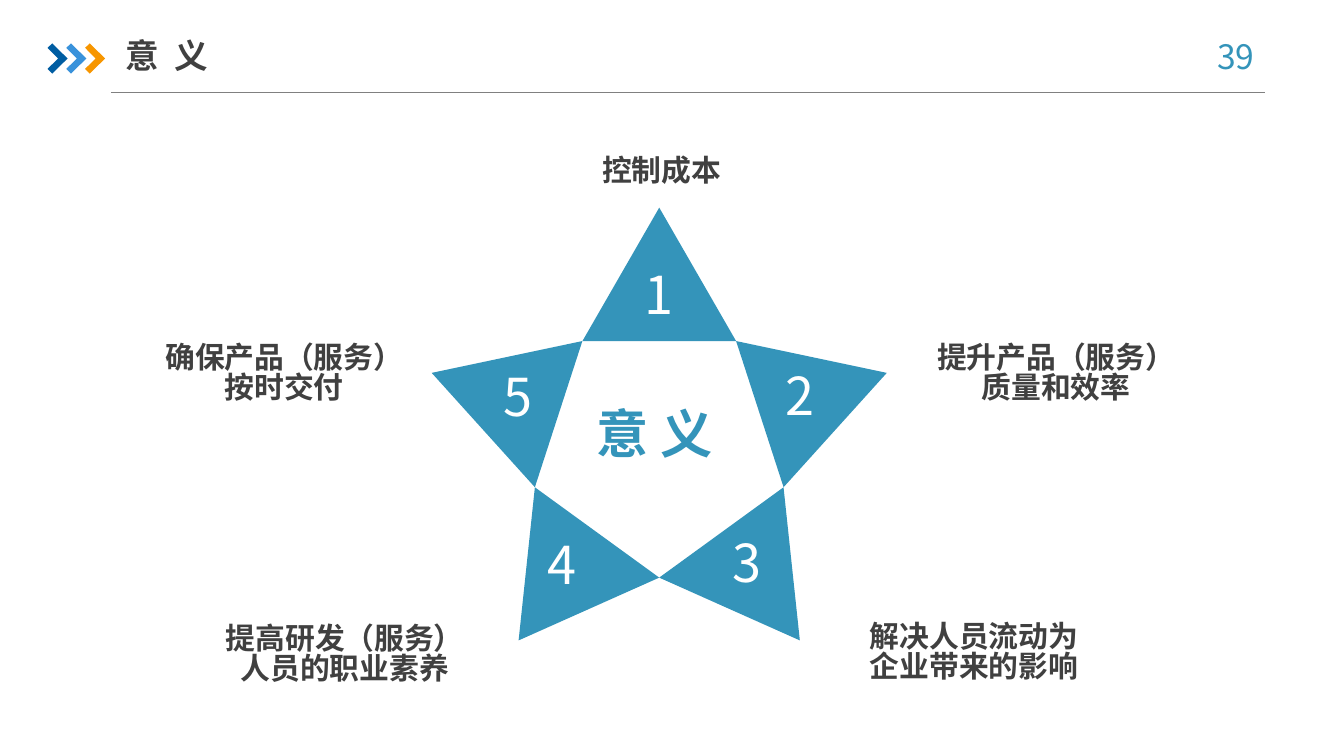
from math import cos, pi, sin

from pptx import Presentation
from pptx.dml.color import RGBColor as Color
from pptx.enum.shapes import MSO_CONNECTOR as Connector
from pptx.enum.text import MSO_ANCHOR as Anchor, PP_ALIGN as Align
from pptx.oxml.ns import qn
from pptx.util import Pt
from lxml.etree import SubElement

THEME = {
    "font": "Noto Sans CJK SC",
    "accent": "3494BA", "ink": "404040", "rule": "808080", "white": "FFFFFF",
    "chevrons": ["005DA2", "3992DB", "F79600"],
    "heading": 24, "numeral": 37.3, "label": 21.3,
    "line_spacing": 0.83, "top_shift": 0.07,
}

TITLE = ("意 义", (90, 21, 224, 39.5))
PAGE_NUMBER = ("39", (850, 25, 71, 36))
CENTRE_WORD = ("意 义", (415.5, 291.6, 104, 45))
LABELS = [
    (["控制成本"], (422, 111, 101, 26), Align.CENTER),
    (["提升产品（服务）", "质量和效率"], (608.4, 245, 292, 52), Align.CENTER),
    (["解决人员流动为企业带来的影响"], (621.4, 444.2, 157, 52), Align.LEFT),
    (["提高研发（服务）", "人员的职业素养"], (123.8, 445.7, 245, 52), Align.CENTER),
    (["确保产品（服务）", "按时交付"], (100, 245, 206, 52), Align.CENTER),
]
NUMERAL_CORNERS = [(452.2, 192.2), (553, 264.2), (514.8, 383.8), (383, 385.2), (351.4, 265)]
NUMERAL_SIZE = (37.5, 45)

STAR = {"x": 470.9, "y": 319.2, "outer": 170.9, "inner": 93.4, "points": 5}
CHEVRON = [(0, 3.2), (3.4, 0), (14.3, 10.8), (3.4, 21.6), (0, 18.2), (7.6, 10.8)]
CHEVRON_START, CHEVRON_STEP = (34, 31), 13.4
RULE = (79.2, 65.8, 903.6, 65.8)


def add_outline(page, points, fill):
    builder = page.shapes.build_freeform(*(Pt(v) for v in points[0]), scale=1.0)
    builder.add_line_segments([(Pt(x), Pt(y)) for x, y in points[1:]], close=True)
    shape = builder.convert_to_shape()
    shape.shadow.inherit = False
    shape.fill.solid()
    shape.fill.fore_color.rgb = Color.from_string(fill)
    shape.line.fill.background()


def add_text(page, lines, place, size, colour, bold=False, align=Align.CENTER,
             anchor=Anchor.TOP, top=0, right=0, tracking=0):
    box = page.shapes.add_textbox(*(Pt(v) for v in place))
    frame = box.text_frame
    frame_format = {
        "word_wrap": True, "vertical_anchor": anchor,
        "margin_left": 0, "margin_right": Pt(right), "margin_bottom": 0,
        "margin_top": Pt(top + size * THEME["top_shift"]),
    }
    for name, value in frame_format.items():
        setattr(frame, name, value)
    for index, line in enumerate(lines):
        para = frame.add_paragraph() if index else frame.paragraphs[0]
        para.alignment = align
        para.line_spacing = THEME["line_spacing"]
        span = para.add_run()
        span.text = line
        for name, value in {"name": THEME["font"], "size": Pt(size), "bold": bold}.items():
            setattr(span.font, name, value)
        span.font.color.rgb = Color.from_string(colour)
        properties = span._r.get_or_add_rPr()
        SubElement(properties, qn("a:ea")).set("typeface", THEME["font"])
        if tracking:
            properties.set("spc", str(tracking))


def add_header(page):
    rule = page.shapes.add_connector(Connector.STRAIGHT, *(Pt(v) for v in RULE))
    rule.line.color.rgb = Color.from_string(THEME["rule"])
    rule.line.width = Pt(0.5)
    SubElement(rule._element.spPr, qn("a:effectLst"))
    left, top = CHEVRON_START
    for index, fill in enumerate(THEME["chevrons"]):
        add_outline(page, [(left + index * CHEVRON_STEP + x, top + y) for x, y in CHEVRON], fill)
    text, place = PAGE_NUMBER
    add_text(page, [text], place, THEME["heading"], THEME["accent"], top=3.6, right=5.4)
    text, place = TITLE
    add_text(page, [text], place, THEME["heading"], THEME["ink"], bold=True,
             align=Align.LEFT, anchor=Anchor.MIDDLE, tracking=270)


def star_point(radius, steps):
    angle = 2 * pi * steps / STAR["points"]
    return STAR["x"] + radius * sin(angle), STAR["y"] - radius * cos(angle)


def add_star(page):
    for index, corner in enumerate(NUMERAL_CORNERS):
        triangle = [star_point(STAR["inner"], index - 0.5), star_point(STAR["outer"], index),
                    star_point(STAR["inner"], index + 0.5)]
        add_outline(page, triangle, THEME["accent"])
        add_text(page, [str(index + 1)], corner + NUMERAL_SIZE, THEME["numeral"], THEME["white"])
    for lines, place, align in LABELS:
        add_text(page, lines, place, THEME["label"], THEME["ink"], bold=True, align=align)
    text, place = CENTRE_WORD
    add_text(page, [text], place, THEME["numeral"], THEME["accent"], bold=True)


def main():
    deck = Presentation()
    deck.slide_width, deck.slide_height = Pt(960), Pt(540)
    page = deck.slides.add_slide(deck.slide_layouts[6])
    add_header(page)
    add_star(page)
    deck.save("out.pptx")


if __name__ == "__main__":
    main()
